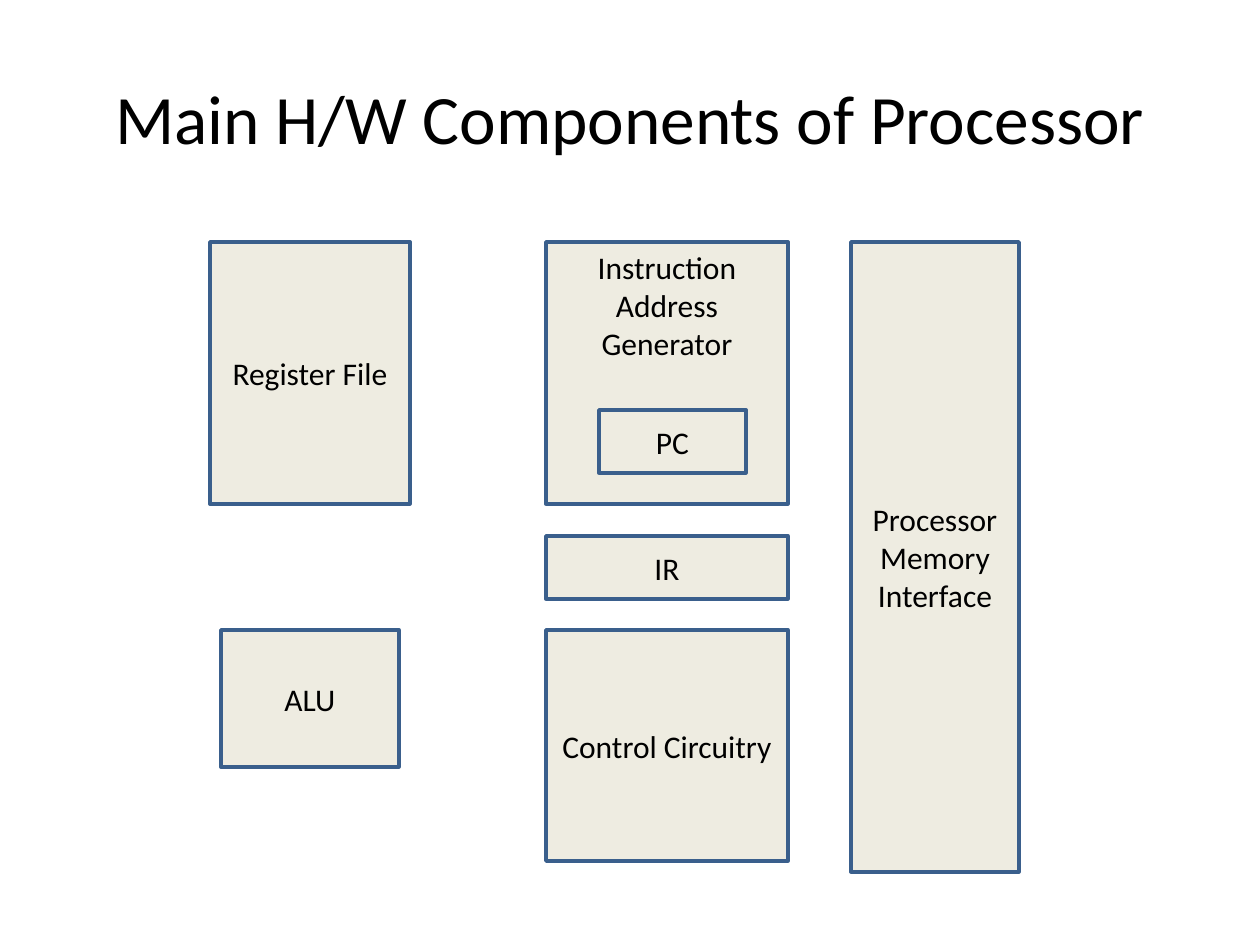
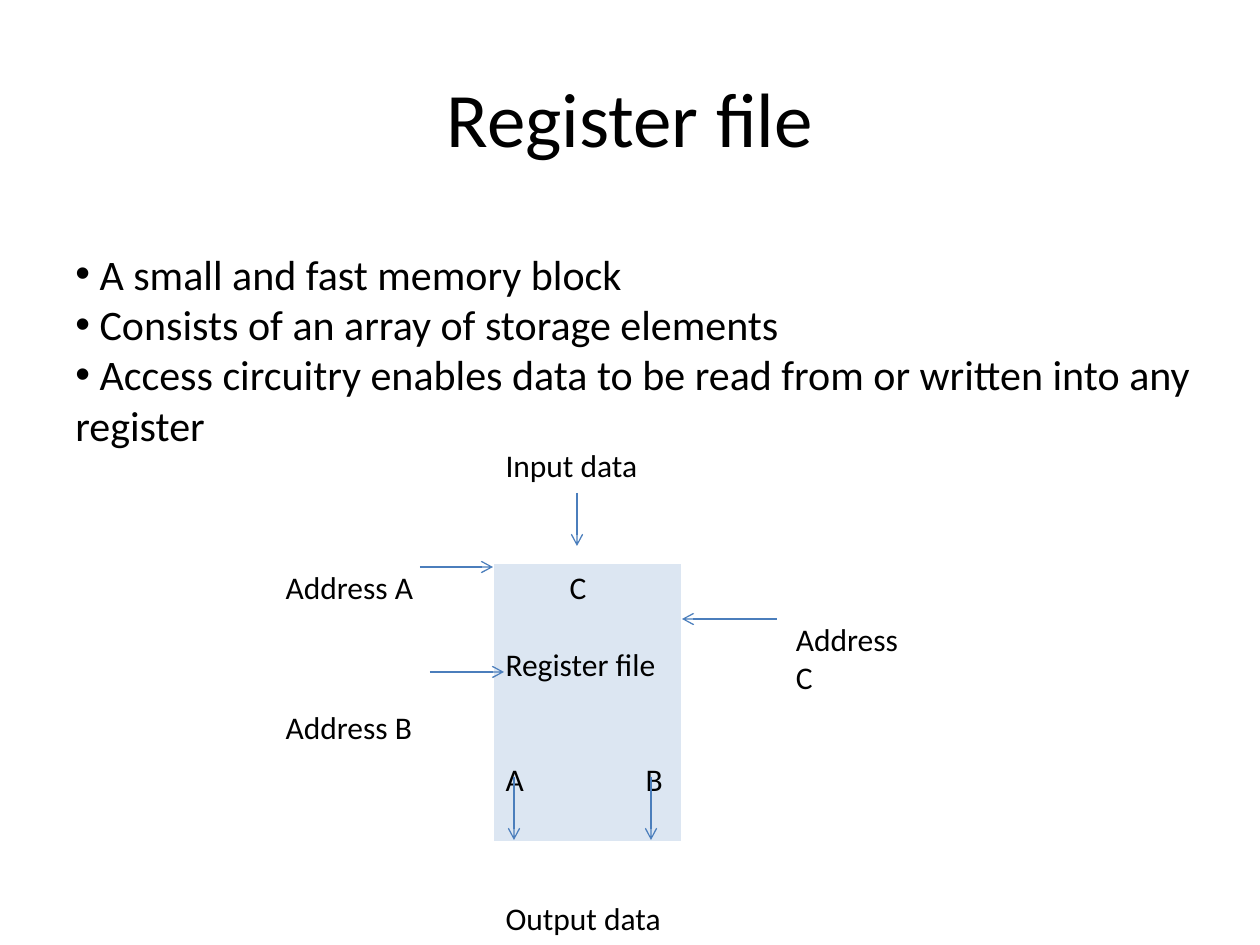
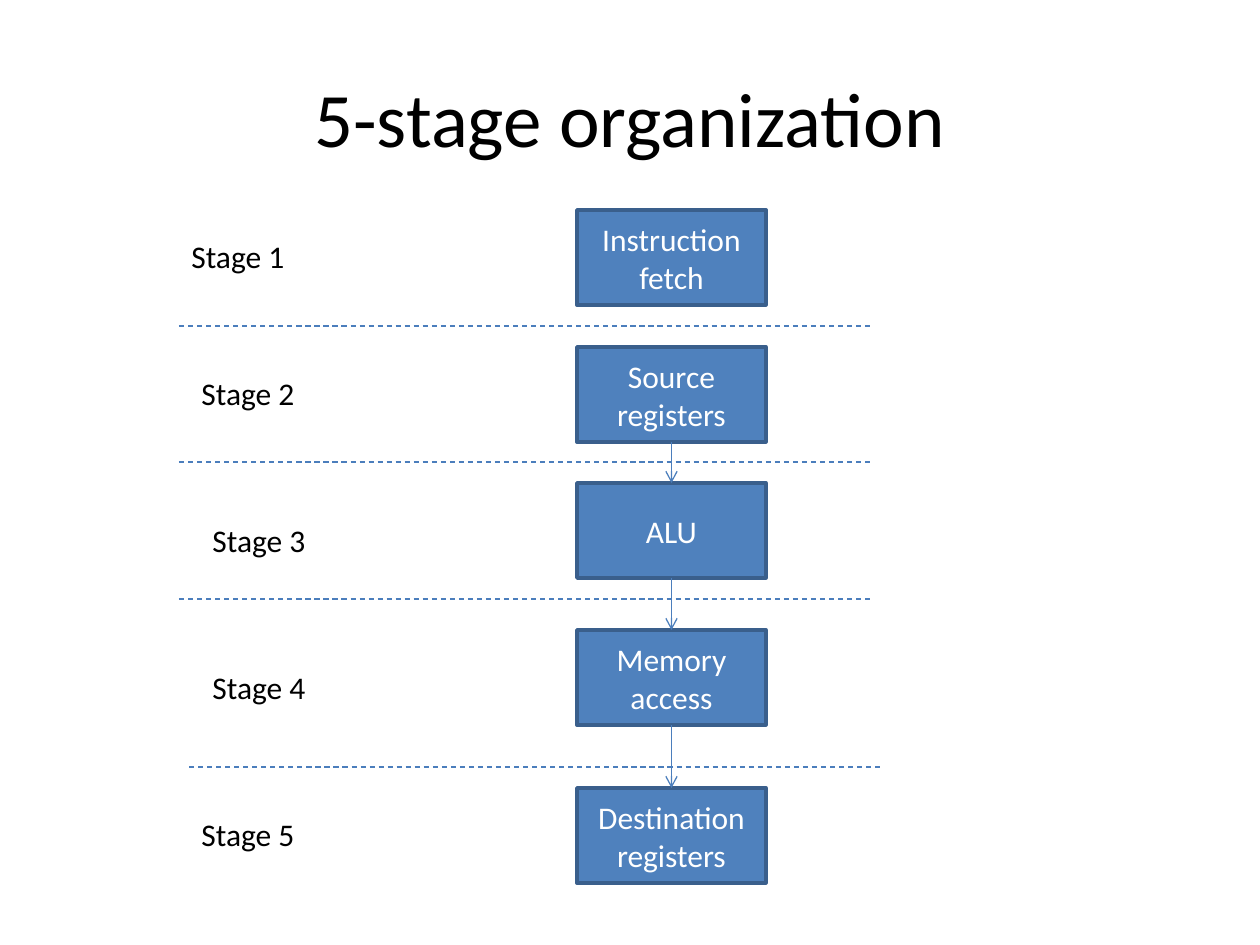
from itertools import pairwise

from lxml import etree
from pptx import Presentation
from pptx.dml.color import RGBColor
from pptx.enum.dml import MSO_LINE
from pptx.enum.shapes import MSO_CONNECTOR, MSO_SHAPE
from pptx.enum.text import MSO_ANCHOR, PP_ALIGN
from pptx.oxml.ns import qn
from pptx.util import Pt

RECT, STRAIGHT, DASH = MSO_SHAPE.RECTANGLE, MSO_CONNECTOR.STRAIGHT, MSO_LINE.DASH
TOP, MIDDLE = MSO_ANCHOR.TOP, MSO_ANCHOR.MIDDLE
LEFT, CENTER, RIGHT = PP_ALIGN.LEFT, PP_ALIGN.CENTER, PP_ALIGN.RIGHT

FONT = "Calibri"
BLACK, WHITE = "000000", "FFFFFF"
CREAM, BLUE, PALE = "EEECE1", "4F81BD", "DCE6F2"
EDGE, ARROW = "3A5F8C", "4B7EBC"
TITLE_BOX = (63, 38, 1134, 158)
BODY = 18
LINE_HEIGHT = 22


# ---- Shared helpers ----
def px(value):
    return round(value * 914400 / 126)


def color(code):
    return RGBColor.from_string(code)


def apply(target, values):
    for name, value in values.items():
        setattr(target, name, value)


def add_child(parent, tag, **attributes):
    return etree.SubElement(parent, qn(tag), attributes)


def write(frame, lines, size=BODY, ink=BLACK, align=LEFT):
    for number, line in enumerate(lines):
        para = frame.paragraphs[0] if number == 0 else frame.add_paragraph()
        para.alignment = align
        span = para.add_run()
        span.text = line
        apply(span.font, {"size": Pt(size), "name": FONT})
        span.font.color.rgb = color(ink)


def add_text(page, box, lines, size=BODY, align=LEFT, anchor=TOP, wrap=True):
    frame = page.shapes.add_textbox(*map(px, box)).text_frame
    apply(frame, {"word_wrap": wrap, "vertical_anchor": anchor})
    write(frame, lines, size, align=align)
    return frame


def add_block(page, box, text, fill, ink=BLACK, anchor=MIDDLE):
    block = page.shapes.add_shape(RECT, *map(px, box))
    block.shadow.inherit = False
    block.fill.solid()
    block.fill.fore_color.rgb = color(fill)
    block.line.color.rgb = color(EDGE)
    block.line.width = Pt(2)
    apply(block.text_frame, {"word_wrap": True, "vertical_anchor": anchor})
    write(block.text_frame, [text], ink=ink, align=CENTER)


def add_line(page, start, end, dashed=False):
    line = page.shapes.add_connector(STRAIGHT, *map(px, start + end))
    line.line.color.rgb = color(ARROW)
    line.line.width = Pt(0.75)
    if dashed:
        line.line.dash_style = DASH
    else:
        add_child(line.line._get_or_add_ln(), "a:tailEnd", type="arrow")
    add_child(line._element.spPr, "a:effectLst")


def add_page(deck, title, size=44):
    page = deck.slides.add_slide(deck.slide_layouts[6])
    add_text(page, TITLE_BOX, [title], size, CENTER, MIDDLE)
    return page


# ---- Processor components ----
def add_components(page, box):
    left, top, _, height = box
    middle, middle_width = 336, 242
    blocks = [
        ("Register File", 0, 0, 200, 262, MIDDLE),
        ("Instruction Address Generator", middle, 0, middle_width, 262, TOP),
        ("Processor Memory Interface", 641, 0, 168, height, MIDDLE),
        ("IR", middle, 294, middle_width, 63, MIDDLE),
        ("Control Circuitry", middle, 388, middle_width, 231, MIDDLE),
        ("PC", 389, 168, 147, 63, MIDDLE),
        ("ALU", 11, 388, 178, 137, MIDDLE),
    ]
    for text, x, y, wide, high, anchor in blocks:
        add_block(page, (left + x, top + y, wide, high), text, CREAM, anchor=anchor)


# ---- Register file ----
def add_bullets(page, box, lines):
    frame = add_text(page, box, lines, 24)
    for para in frame.paragraphs:
        properties = para._p.get_or_add_pPr()
        add_child(properties, "a:buFont", typeface="Arial")
        add_child(properties, "a:buChar", char="•")


def style_cell(cell, header, fill=None):
    if fill:
        cell.fill.solid()
        cell.fill.fore_color.rgb = color(fill)
    else:
        cell.fill.background()
    properties = cell._tc.get_or_add_tcPr()
    for order, side in enumerate("LRTB"):
        width = Pt(3 if header and side == "B" else 1)
        border = etree.Element(qn(f"a:ln{side}"), w=str(width))
        add_child(add_child(border, "a:solidFill"), "a:srgbClr", val=WHITE)
        properties.insert(order, border)


def add_register_table(page, box):
    columns = [220, 189, 252]
    rows = [52, 70, 52, 52, 139, 52, 52]
    table = page.shapes.add_table(len(rows), len(columns), *map(px, box)).table
    apply(table, {"first_row": False, "horz_banding": False})
    for column, width in zip(table.columns, columns):
        column.width = px(width)
    for row, height in zip(table.rows, rows):
        row.height = px(height)
    for r in range(len(rows)):
        for c in range(len(columns)):
            core = c == 1 and 2 <= r <= 4
            style_cell(table.cell(r, c), r == 0, PALE if core else None)

    labels = {(0, 1): "Input data", (2, 0): "Address A", (3, 2): "Address C",
              (4, 0): "Address B", (6, 1): "Output data"}
    for (r, c), text in labels.items():
        align = RIGHT if c == 2 else LEFT
        write(table.cell(r, c).text_frame, [text], align=align)
    # The third column's label sits beside its arrow
    table.cell(3, 2).text_frame.paragraphs[0].alignment = LEFT
    table.cell(3, 2).margin_left = px(114)

    # Ports inside the register block
    core = table.cell(2, 1)
    core.merge(table.cell(4, 1))
    write(core.text_frame, ["C", "Register file", "A\tB"])
    port_c, name, ports = core.text_frame.paragraphs
    port_c._p.get_or_add_pPr().set("marL", str(px(64)))
    name.space_before = Pt(LINE_HEIGHT)
    ports.space_before = Pt(2 * LINE_HEIGHT)
    tabs = add_child(ports._p.get_or_add_pPr(), "a:tabLst")
    add_child(tabs, "a:tab", pos=str(px(140)), algn="l")


def add_register_diagram(page, box):
    left, top, _, _ = box
    add_register_table(page, box)
    arrows = [
        ((147, 126), (220, 126)),  # address A
        ((157, 231), (231, 231)),  # address B
        ((504, 178), (409, 178)),  # address C
        ((241, 336), (241, 399)),  # output A
        ((378, 336), (378, 399)),  # output B
        ((304, 52), (304, 105)),  # input
    ]
    for start, end in arrows:
        add_line(page, *((left + x, top + y) for x, y in (start, end)))


# ---- Five stages ----
def add_stages(page, box):
    left, top, _, _ = box
    block_x, block_width, block_height = 398, 189, 95
    stages = [  # text, block top, label left, label top
        ("Instruction fetch", 0, 0, 21),
        ("Source registers", 137, 10, 158),
        ("ALU", 273, 21, 305),
        ("Memory access", 420, 21, 452),
        ("Destination registers", 578, 10, 599),
    ]
    for number, (text, y, label_x, label_y) in enumerate(stages, 1):
        add_block(page, (left + block_x, top + y, block_width, block_height),
                  text, BLUE, WHITE)
        add_text(page, (left + label_x, top + label_y, 120, 50),
                 [f"Stage {number}"], wrap=False)

    center = left + block_x + block_width / 2
    for upper, lower in pairwise(stages[1:]):
        add_line(page, (center, top + upper[1] + block_height),
                 (center, top + lower[1]))
    for x, y in [(0, 116), (0, 252), (0, 389), (10, 557)]:
        add_line(page, (left + x, top + y), (left + x + 693, top + y), dashed=True)


# ---- Deck ----
deck = Presentation()
apply(deck, {"slide_width": px(1260), "slide_height": px(945)})

add_components(add_page(deck, "Main H/W Components of Processor", 39.6),
               (210, 242, 809, 630))

register_page = add_page(deck, "Register file")
add_register_diagram(register_page, (273, 441, 661, 469))
add_bullets(register_page, (63, 242, 1166, 217), [
    " A small and fast memory block",
    " Consists of an array of storage elements",
    " Access circuitry enables data to be read from or written into any register",
])

add_stages(add_page(deck, "5-stage organization"), (179, 210, 703, 672))

deck.save("out.pptx")
